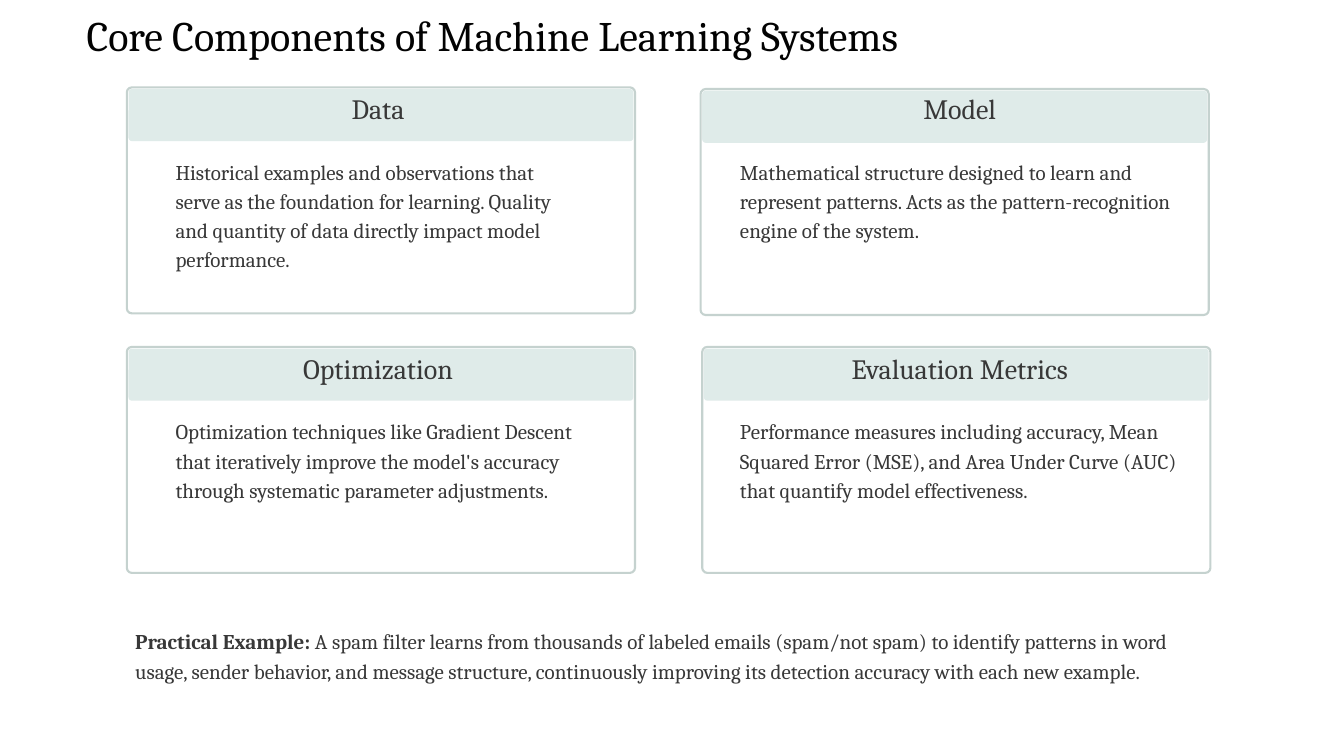
from pptx import Presentation
from pptx import util as u
from pptx.dml import color
from pptx.enum import shapes, text

FONT = "Cambria"
INK, TITLE_INK, BORDER, BAND = "383838", "020202", "C5D2CF", "DFEBE9"

TITLE = "Core Components of Machine Learning Systems"
# card left, card top, heading, description
CARDS = [
    (1.51, 1.04, "Data",
     "Historical examples and observations that serve as the foundation for learning. "
     "Quality and quantity of data directly impact model performance."),
    (8.34, 1.06, "Model",
     "Mathematical structure designed to learn and represent patterns. "
     "Acts as the pattern-recognition engine of the system."),
    (1.51, 4.13, "Optimization",
     "Optimization techniques like Gradient Descent that iteratively improve "
     "the model's accuracy through systematic parameter adjustments."),
    (8.36, 4.13, "Evaluation Metrics",
     "Performance measures including accuracy, Mean Squared Error (MSE), "
     "and Area Under Curve (AUC) that quantify model effectiveness."),
]
EXAMPLE = [
    ("Practical Example:", True),
    (" A spam filter learns from thousands of labeled emails (spam/not spam) to identify "
     "patterns in word usage, sender behavior, and message structure, continuously "
     "improving its detection accuracy with each new example.", False),
]

CARD_WIDTH, CARD_HEIGHT = 6.05, 2.69
BAND_INSET, BAND_HEIGHT = 0.02, 0.62
TEXT_COLUMNS = [(2.09, 4.82), (8.81, 5.23)]  # left, width
TEXT_TOP, ROW_STEP, BODY_DROP = 1.21, 3.09, 0.64


def rgb(value):
    return color.RGBColor.from_string(value)


def place(shape, left, top, width, height):
    shape.left, shape.top = u.Inches(left), u.Inches(top)
    shape.width, shape.height = u.Inches(width), u.Inches(height)


def write(box, spans, size=18, ink=INK, spacing=25, align=text.PP_ALIGN.LEFT,
          insets=(0, 0, 0, 0)):
    """Fill a box with one paragraph made of (words, bold) spans."""
    frame = box.text_frame
    frame.word_wrap = True
    frame.auto_size = text.MSO_AUTO_SIZE.NONE
    frame.vertical_anchor = text.MSO_ANCHOR.TOP
    frame.margin_left, frame.margin_top, frame.margin_right, frame.margin_bottom = (
        u.Inches(inset) for inset in insets)
    para = frame.paragraphs[0]
    para.alignment = align
    para.line_spacing = u.Pt(spacing)
    for words, bold in spans:
        span = para.add_run()
        span.text = words
        span.font.name, span.font.size, span.font.bold = FONT, u.Pt(size), bold
        span.font.color.rgb = rgb(ink)


def add_text(page, left, top, width, height, spans, **style):
    box = page.shapes.add_textbox(0, 0, 0, 0)
    place(box, left, top, width, height)
    write(box, spans, **style)


def add_panel(page, left, top, width, height, radius, fill=None, line=None):
    panel = page.shapes.add_shape(shapes.MSO_SHAPE.ROUNDED_RECTANGLE, 0, 0, 0, 0)
    place(panel, left, top, width, height)
    panel.adjustments[0] = radius / height
    panel.shadow.inherit = False
    if fill:
        panel.fill.solid()
        panel.fill.fore_color.rgb = rgb(fill)
    else:
        panel.fill.background()
    if line:
        panel.line.color.rgb = rgb(line)
        panel.line.width = u.Pt(1.8)
    else:
        panel.line.fill.background()


def main():
    deck = Presentation()
    deck.slide_width, deck.slide_height = u.Inches(16), u.Inches(9)
    page = deck.slides.add_slide(deck.slide_layouts[5])

    title = page.shapes.title
    place(title, 1.03, -0.1, 14.93, 0.82)
    write(title, [(TITLE, False)], size=36, ink=TITLE_INK, spacing=41,
          insets=(0, 0.24, 0, 0))

    for index, (left, top, heading, description) in enumerate(CARDS):
        row, column = divmod(index, 2)
        add_panel(page, left, top, CARD_WIDTH, CARD_HEIGHT, 0.06, line=BORDER)
        add_panel(page, left + BAND_INSET, top + BAND_INSET,
                  CARD_WIDTH - 2 * BAND_INSET, BAND_HEIGHT, 0.04, fill=BAND)
        text_left, text_width = TEXT_COLUMNS[column]
        text_top = TEXT_TOP + row * ROW_STEP
        add_text(page, text_left, text_top, text_width, 0.3, [(heading, False)],
                 size=24, spacing=20.5, align=text.PP_ALIGN.CENTER)
        add_text(page, text_left, text_top + BODY_DROP, text_width, 1.4,
                 [(description, False)])

    add_text(page, 1.51, 7.39, 13.08, 1.13, EXAMPLE, insets=(0.1, 0.05, 0.1, 0.05))
    deck.save("out.pptx")


if __name__ == "__main__":
    main()
